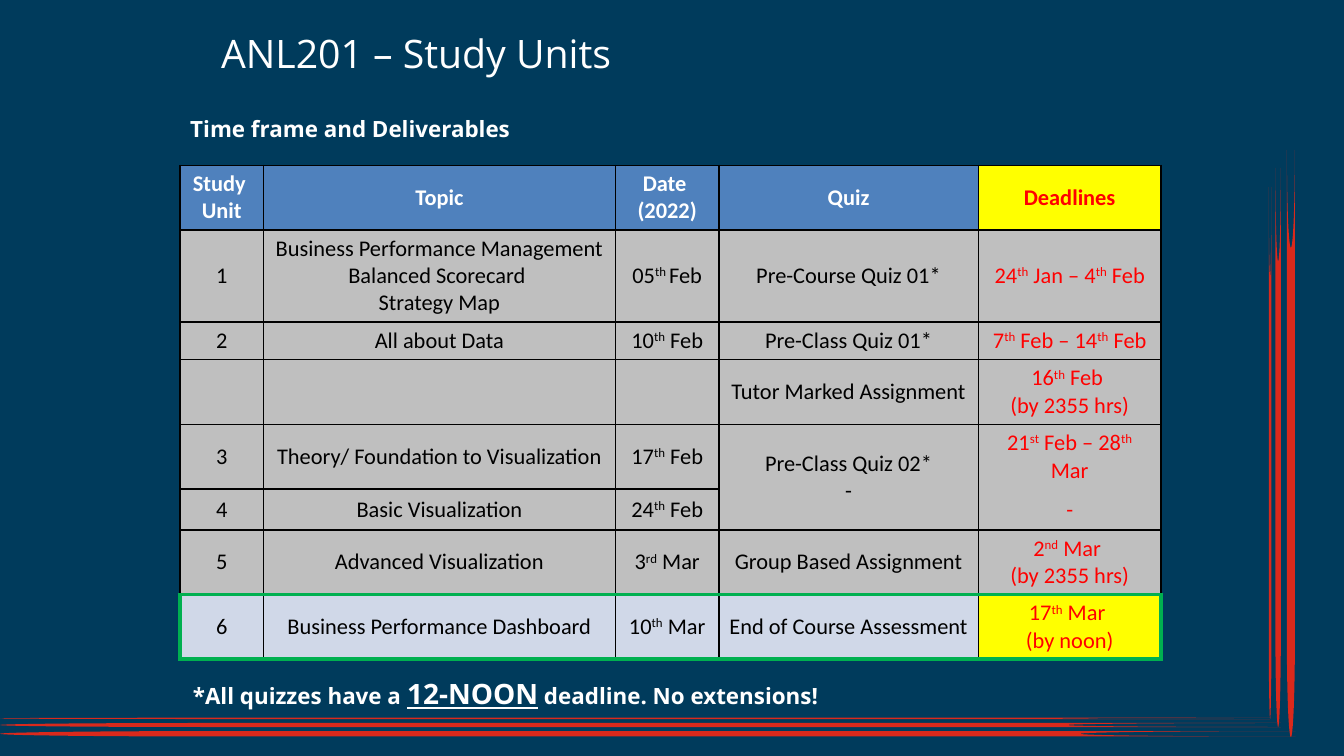
"""Build the ANL201 study units slide with its timetable of deliverables."""
from lxml import etree
from pptx import Presentation
from pptx import util as u
from pptx.dml.color import RGBColor
from pptx.enum import shapes, text
from pptx.oxml.ns import qn

COLORS = {"navy": "003B5C", "stroke": "DA291C", "white": "FFFFFF", "black": "000000",
          "red": "FF0000", "header": "4F81BD", "yellow": "FFFF00", "gray": "BFBFBF",
          "pale": "D0D8E8", "green": "00B050"}
TITLE = "ANL201 – Study Units"
SUBTITLE = "Time frame and Deliverables"
FOOTNOTE = [("*All quizzes have a ", 12, False), ("12-NOON", 15, True),
            (" deadline. No extensions!", 12, False)]
SUPERSCRIPT_MARK = "^"
ROWS = [
    ["Study \nUnit", "Topic", "Date \n(2022)", "Quiz", "Deadlines"],
    ["1", "Business Performance Management\nBalanced Scorecard \nStrategy Map",
     "05^th ^Feb", "Pre-Course Quiz 01*", "24^th^ Jan – 4^th^ Feb"],
    ["2", "All about Data", "10^th^ Feb", "Pre-Class Quiz 01*", "7^th^ Feb – 14^th^ Feb"],
    ["", "", "", "Tutor Marked Assignment", "16^th^ Feb \n(by 2355 hrs)"],
    ["3", "Theory/ Foundation to Visualization", "17^th^ Feb", "Pre-Class Quiz 02*\n-",
     "21^st^ Feb – 28^th^ Mar"],
    ["4", "Basic Visualization", "24^th^ Feb", "", "-"],
    ["5", "Advanced Visualization", "3^rd^ Mar", "Group Based Assignment",
     "2^nd^ Mar \n(by 2355 hrs)"],
    ["6", "Business Performance Dashboard", "10^th^ Mar", "End of Course Assessment",
     "17^th^ Mar \n(by noon)"],
]
COLUMN_WIDTHS = [0.62, 2.62, 0.77, 1.93, 1.36]
ROW_HEIGHTS = [0.47, 0.68, 0.28, 0.47, 0.28, 0.28, 0.47, 0.47]
STROKES = [(0, 5.34, 9.45, 0.01, 0), (0, 5.38, 9.53, 0.03, 0), (0, 5.44, 9.64, 0.04, 0),
           (7.47, 3.36, 3.96, 0.02, 270), (7.43, 3.31, 4.16, 0.04, 270),
           (7.42, 3.27, 4.37, 0.06, 270)]
LAST_ROW, LAST_COLUMN = len(ROWS) - 1, len(COLUMN_WIDTHS) - 1
QUIZ_COLUMN, MERGE_ROW = 3, 4


def color(name):
    return RGBColor.from_string(COLORS[name])


def set_insets(item):
    item.margin_left = item.margin_right = u.Inches(0.15) // 2
    item.margin_top = item.margin_bottom = u.Inches(0.15) // 4


def add_span(para, words, size, name="white", font="Open Sans", bold=False):
    span = para.add_run()
    span.text = words
    span.font.name, span.font.size, span.font.bold = font, u.Pt(size), bold
    span.font.color.rgb = color(name)
    return span


def prepare(box, left, top, width, height):
    box.left, box.top, box.width, box.height = map(u.Inches, (left, top, width, height))
    frame = box.text_frame
    set_insets(frame)
    frame.word_wrap = True
    frame.auto_size = text.MSO_AUTO_SIZE.NONE
    frame.vertical_anchor = text.MSO_ANCHOR.TOP
    para = frame.paragraphs[0]
    para.alignment = text.PP_ALIGN.LEFT
    para.space_before = u.Pt(0)
    return para


def hang(para):
    properties = para._p.get_or_add_pPr()
    properties.set("marL", str(u.Inches(0.28)))
    properties.set("indent", str(-u.Inches(0.28)))
    etree.SubElement(properties, qn("a:buNone"))


def add_strokes(page):
    for left, top, width, height, rotation in STROKES:
        stroke = page.shapes.add_shape(shapes.MSO_SHAPE.FLOWCHART_STORED_DATA,
                                       *map(u.Inches, (left, top, width, height)))
        stroke.rotation = rotation
        stroke.shadow.inherit = False
        stroke.fill.solid()
        stroke.fill.fore_color.rgb = color("stroke")
        stroke.line.fill.background()


def cell_fill(row, column):
    if column == LAST_COLUMN and row in (0, LAST_ROW):
        return "yellow"
    return {0: "header", LAST_ROW: "pale"}.get(row, "gray")


def add_borders(cell, row, column):
    last = row == LAST_ROW
    green = {"L": last and column == 0, "R": last and column == LAST_COLUMN,
             "T": last, "B": row >= LAST_ROW - 1}
    hidden = {"T": MERGE_ROW + 1, "B": MERGE_ROW}
    for side, is_green in green.items():
        line = etree.SubElement(cell._tc.get_or_add_tcPr(), qn(f"a:ln{side}"),
                                w=str(u.Pt(2.25 if is_green else 1)))
        if column == LAST_COLUMN and hidden.get(side) == row:
            etree.SubElement(line, qn("a:noFill"))
        else:
            fill = etree.SubElement(line, qn("a:solidFill"))
            etree.SubElement(fill, qn("a:srgbClr"), val=COLORS["green" if is_green else "black"])


def write_cell(cell, words, row, column):
    name = "red" if column == LAST_COLUMN else "black" if row else "white"
    for index, line in enumerate(words.split("\n")):
        para = cell.text_frame.paragraphs[0] if index == 0 else cell.text_frame.add_paragraph()
        para.alignment = text.PP_ALIGN.CENTER
        para.font.size = u.Pt(12)
        for position, piece in enumerate(line.split(SUPERSCRIPT_MARK)):
            if piece:
                span = add_span(para, piece, 12, name, "Calibri", row == 0)
                if position % 2:
                    span._r.get_or_add_rPr().set("baseline", "30000")


def add_timetable(page):
    frame = page.shapes.add_table(len(ROWS), len(COLUMN_WIDTHS), u.Inches(1.34), u.Inches(1.23),
                                  u.Inches(sum(COLUMN_WIDTHS)), u.Inches(sum(ROW_HEIGHTS)))
    table = frame.table
    table.first_row = table.horz_banding = False
    for column, width in zip(table.columns, COLUMN_WIDTHS):
        column.width = u.Inches(width)
    for row, height in zip(table.rows, ROW_HEIGHTS):
        row.height = u.Inches(height)
    table.cell(MERGE_ROW, QUIZ_COLUMN).merge(table.cell(MERGE_ROW + 1, QUIZ_COLUMN))
    for row, values in enumerate(ROWS):
        for column, words in enumerate(values):
            cell = table.cell(row, column)
            add_borders(cell, row, column)
            cell.fill.solid()
            cell.fill.fore_color.rgb = color(cell_fill(row, column))
            if words != "-":
                set_insets(cell)
                cell.vertical_anchor = text.MSO_ANCHOR.MIDDLE
            write_cell(cell, words, row, column)


def main():
    deck = Presentation()
    deck.slide_width = u.Inches(10)
    deck.slide_height = deck.slide_width * 9 // 16
    page = deck.slides.add_slide(deck.slide_layouts[1])
    page.background.fill.solid()
    page.background.fill.fore_color.rgb = color("navy")
    add_strokes(page)
    add_span(prepare(page.shapes.title, 1.57, 0.18, 6.19, 0.5), TITLE, 21)
    para = prepare(page.placeholders[1], 1.34, 0.82, 6.19, 0.25)
    hang(para)
    add_span(para, SUBTITLE, 12, bold=True)
    add_timetable(page)
    para = prepare(page.shapes.add_textbox(0, 0, 0, 0), 1.36, 5, 6.19, 0.25)
    hang(para)
    for words, size, underlined in FOOTNOTE:
        add_span(para, words, size, bold=True).font.underline = underlined
    deck.save("out.pptx")


if __name__ == "__main__":
    main()
